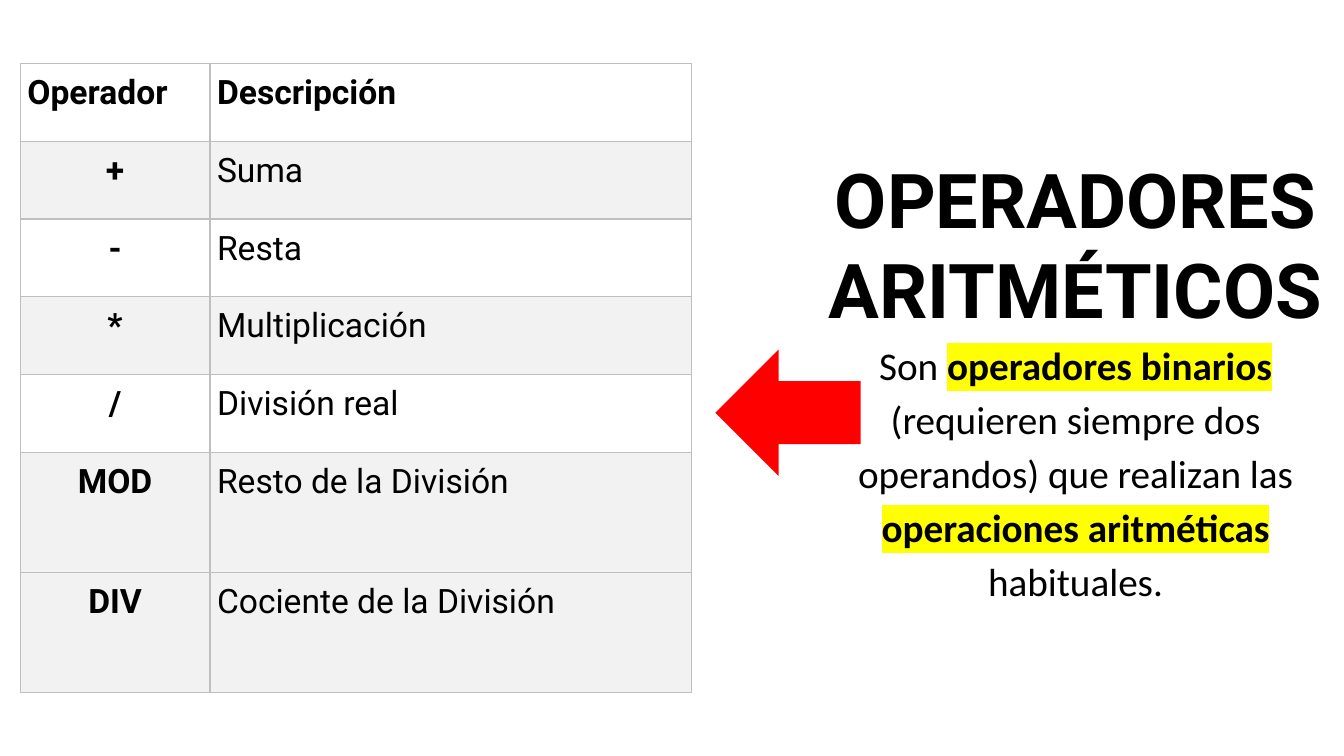
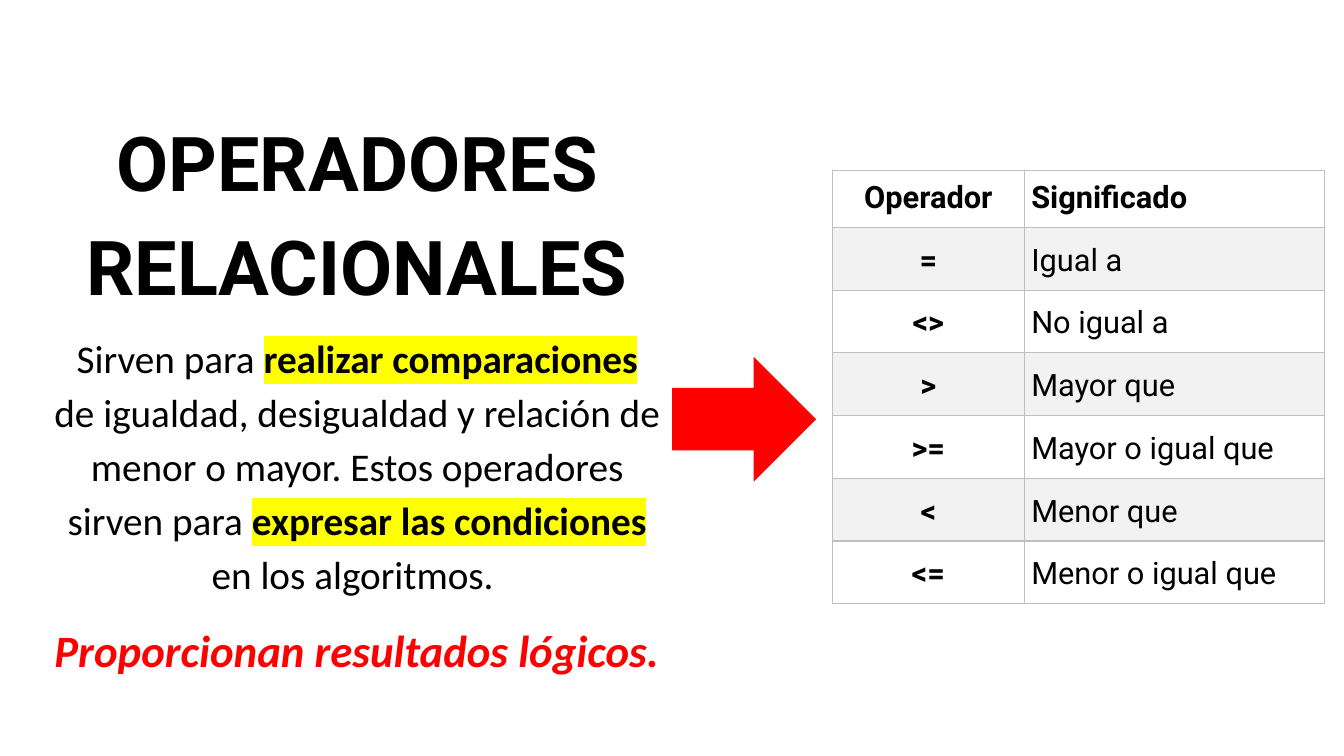
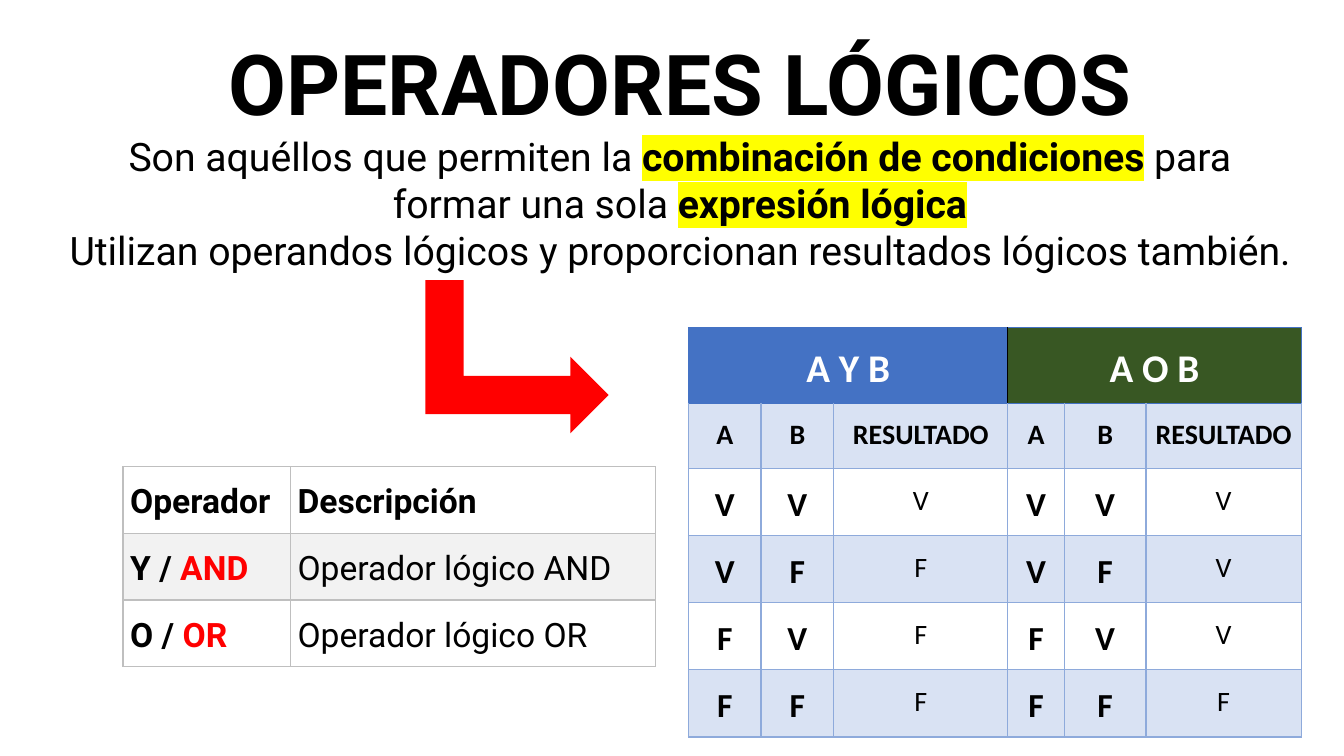
from lxml import etree
from pptx import Presentation
from pptx import util as u
from pptx.dml.color import RGBColor
from pptx.enum import shapes, text
from pptx.oxml import ns

# Shared look
BLACK, WHITE, RED, YELLOW = "000000", "FFFFFF", "FF0000", "FFFF00"
GREY_LINE, GREY_BAND = "BFBFBF", "F2F2F2"
BLUE, GREEN, BLUE_LINE, BLUE_BAND = "4472C4", "385723", "8EAADB", "D9E2F3"
HEADING_FONT, BODY_FONT = "Roboto", "Calibri"
LEFT, CENTER = text.PP_ALIGN.LEFT, text.PP_ALIGN.CENTER
TOP, MIDDLE = text.MSO_ANCHOR.TOP, text.MSO_ANCHOR.MIDDLE


def rgb(value):
    return RGBColor.from_string(value)


def run(words, size, font=HEADING_FONT, bold=False, color=BLACK, italic=False, highlight=None):
    return dict(words=words, size=size, font=font, bold=bold, color=color,
                italic=italic, highlight=highlight)


def marked(words, size, font=HEADING_FONT):
    return run(words, size, font, bold=True, highlight=YELLOW)


def write_paragraph(paragraph, runs, align=CENTER, spacing=1.0, after=0):
    paragraph.alignment = align
    paragraph.line_spacing = spacing
    paragraph.space_after = u.Pt(after)
    for part in runs:
        piece = paragraph.add_run()
        piece.text = part["words"]
        font = piece.font
        font.size = u.Pt(part["size"])
        font.bold, font.italic = part["bold"], part["italic"]
        font.color.rgb = rgb(part["color"])
        if part["highlight"]:
            properties = piece.font._element
            mark = etree.SubElement(properties, ns.qn("a:highlight"))
            etree.SubElement(mark, ns.qn("a:srgbClr"), val=part["highlight"])
        font.name = part["font"]


def add_text(slide, box, paragraphs, anchor, inset=0.25, spacing=1.0):
    """Each paragraph is (runs, line spacing, space after)."""
    frame = slide.shapes.add_textbox(*map(u.Cm, box)).text_frame
    frame.word_wrap = True
    frame.vertical_anchor = anchor
    frame.margin_left = frame.margin_right = u.Cm(0.25)
    frame.margin_top = frame.margin_bottom = u.Cm(inset)
    for index, (runs, spacing, after) in enumerate(paragraphs):
        paragraph = frame.add_paragraph() if index else frame.paragraphs[0]
        write_paragraph(paragraph, runs, CENTER, spacing, after)


def add_arrow(slide, kind, box, rotation=0):
    arrow = slide.shapes.add_shape(kind, *map(u.Cm, box))
    arrow.shadow.inherit = False
    arrow.fill.solid()
    arrow.fill.fore_color.rgb = rgb(RED)
    arrow.line.fill.background()
    arrow.rotation = rotation


def add_grid(slide, left, top, widths, heights):
    size = map(u.Cm, (left, top, sum(widths), sum(heights)))
    table = slide.shapes.add_table(len(heights), len(widths), *size).table
    table.first_row = table.horz_banding = False
    for column, width in zip(table.columns, widths):
        column.width = u.Cm(width)
    for row, height in zip(table.rows, heights):
        row.height = u.Cm(height)
    return table


def style_cell(cell, fill, borders):
    """Borders maps the sides L, R, T and B to colours."""
    cell.margin_left = cell.margin_right = u.Cm(0.18)
    cell.margin_top = cell.margin_bottom = u.Cm(0.25)
    properties = cell._tc.get_or_add_tcPr()
    for side in "LRTB":
        line = etree.SubElement(properties, ns.qn("a:ln" + side), w=str(u.Pt(1)))
        paint = etree.SubElement(line, ns.qn("a:solidFill"))
        etree.SubElement(paint, ns.qn("a:srgbClr"), val=borders[side])
    cell.fill.solid()
    cell.fill.fore_color.rgb = rgb(fill)


def operator_table(slide, left, top, widths, heights, rows, size, bands,
                   header_align=LEFT, operator_align=CENTER, spacings=(1.0, 1.0)):
    """Two columns: operator (a string, or a black and a red part) and meaning."""
    table = add_grid(slide, left, top, widths, heights)
    for r, row in enumerate(rows):
        for c, content in enumerate(row):
            cell = table.cell(r, c)
            style_cell(cell, GREY_BAND if r in bands else WHITE, dict.fromkeys("LRTB", GREY_LINE))
            parts = (content,) if isinstance(content, str) else content
            runs = [run(words, size, bold=r == 0 or c == 0, color=color)
                    for words, color in zip(parts, (BLACK, RED))]
            align = LEFT if c else operator_align if r else header_align
            write_paragraph(cell.text_frame.paragraphs[0], runs, align, spacings[r > 0])


def truth_table(slide, left, top, widths, heights, groups, rows):
    """One group of three columns (A, B, result) for each (name, fill)."""
    table = add_grid(slide, left, top, widths, heights)
    last = len(widths) - 1
    # Group headers
    for c in range(len(widths)):
        borders = dict.fromkeys("LRTB", BLUE)
        if c % 3 == 0 and c:
            borders["L"] = BLACK
        if c % 3 == 2 and c < last:
            borders["R"] = BLACK
        style_cell(table.cell(0, c), groups[c // 3][1], borders)
    for g, (name, _) in enumerate(groups):
        header = table.cell(0, 3 * g)
        header.merge(table.cell(0, 3 * g + 2))
        write_paragraph(header.text_frame.paragraphs[0],
                        [run(name, 28, BODY_FONT, True, WHITE)], CENTER, 1.15)
    # Column names and values
    for r, row in enumerate(rows, 1):
        for c, value in enumerate(row):
            cell = table.cell(r, c)
            borders = dict.fromkeys("LRTB", BLUE_LINE)
            if r == 1:
                borders["T"] = BLUE
            style_cell(cell, BLUE_BAND if r % 2 else WHITE, borders)
            is_result = c % 3 == 2
            size = 20 if r == 1 or is_result else 24
            write_paragraph(cell.text_frame.paragraphs[0],
                            [run(value, size, BODY_FONT, r == 1 or not is_result)], CENTER, 1.15)


def arithmetic_slide(slide):
    rows = [("Operador", "Descripción"), ("+", "Suma"), ("-", "Resta"),
            ("*", "Multiplicación"), ("/", "División real"),
            ("MOD", "Resto de la División"), ("DIV", "Cociente de la División")]
    operator_table(slide, 0.51, 1.6, (4.78, 12.14), [1.96] * 5 + [3.02] * 2,
                   rows, 24, bands=(1, 3, 5, 6))
    body = [run("Son ", 28, BODY_FONT),
            marked("operadores binarios", 28, BODY_FONT),
            run(" (requieren siempre dos operandos) que realizan las ", 28, BODY_FONT),
            marked("operaciones aritméticas", 28, BODY_FONT),
            run(" habituales.", 28, BODY_FONT)]
    add_text(slide, (20.35, 3.3, 13.51, 12.47),
             [([run("OPERADORES", 54, bold=True)], 1.0, 0),
              ([run("ARITMÉTICOS", 54, bold=True)], 1.0, 0),
              (body, 1.15, 12)], MIDDLE)
    add_arrow(slide, shapes.MSO_SHAPE.LEFT_ARROW, (18.03, 8.81, 3.66, 3.18))


def relational_slide(slide):
    body = [run("Sirven para ", 28, BODY_FONT),
            marked("realizar comparaciones", 28, BODY_FONT),
            run(" de igualdad, desigualdad y relación de menor o mayor. "
                "Estos operadores sirven para ", 28, BODY_FONT),
            marked("expresar las condiciones ", 28, BODY_FONT),
            run("en los algoritmos. ", 28, BODY_FONT)]
    closing = run("Proporcionan resultados lógicos.", 32, BODY_FONT, True, RED, italic=True)
    add_text(slide, (1.09, 2.44, 15.82, 14.78),
             [([run("OPERADORES RELACIONALES", 54, bold=True)], 1.15, 12),
              (body, 1.15, 12), ([closing], 1.15, 12)], TOP, inset=0.13)
    rows = [("Operador", "Significado"), ("=", "Igual a"), ("<>", "No igual a"),
            (">", "Mayor que"), (">=", "Mayor o igual que"),
            ("<", "Menor que"), ("<=", "Menor o igual que")]
    operator_table(slide, 20.98, 4.29, (4.83, 7.57), [1.44] + [1.58] * 6, rows, 22,
                   bands=(1, 3, 5), header_align=CENTER, spacings=(1.0, 1.15))
    add_arrow(slide, shapes.MSO_SHAPE.RIGHT_ARROW, (16.94, 8.99, 3.63, 3.15))


def logical_slide(slide):
    rows = [("Operador", "Descripción"),
            (("Y / ", "AND"), "Operador lógico AND"),
            (("O / ", "OR"), "Operador lógico OR")]
    operator_table(slide, 3.1, 11.76, (4.22, 9.19), [1.68] * 3, rows, 24,
                   bands=(1,), operator_align=LEFT, spacings=(1.15, 1.15))
    names = ("A", "B", "RESULTADO") * 2
    values = ["VVVVVV", "VFFVFV", "FVFFVV", "FFFFFF"]
    values[0] = "VVVVVV"
    truth_table(slide, 17.35, 8.26, (1.83, 1.83, 4.39, 1.42, 2.06, 3.91),
                [1.9, 1.65] + [1.69] * 4, [("A Y B", BLUE), ("A O B", GREEN)],
                [names, *values])
    definition = [run("Son aquéllos que permiten la ", 28),
                  marked("combinación de condiciones", 28),
                  run(" para formar una sola ", 28),
                  marked("expresión lógica", 28)]
    closing = run("Utilizan operandos lógicos y proporcionan resultados lógicos también.", 28)
    add_text(slide, (1.45, 0.61, 31.37, 6.45),
             [([run("OPERADORES LÓGICOS", 60, bold=True)], 1.0, 0),
              (definition, 1.0, 0), ([closing], 1.0, 0)], MIDDLE)
    add_arrow(slide, shapes.MSO_SHAPE.BENT_UP_ARROW, (11.1, 6.68, 3.86, 4.62), rotation=90)


def main():
    presentation = Presentation()
    presentation.slide_width, presentation.slide_height = u.Cm(33.87), u.Cm(19.05)
    blank = presentation.slide_layouts[6]
    for build in (arithmetic_slide, relational_slide, logical_slide):
        build(presentation.slides.add_slide(blank))
    presentation.save("out.pptx")


if __name__ == "__main__":
    main()
